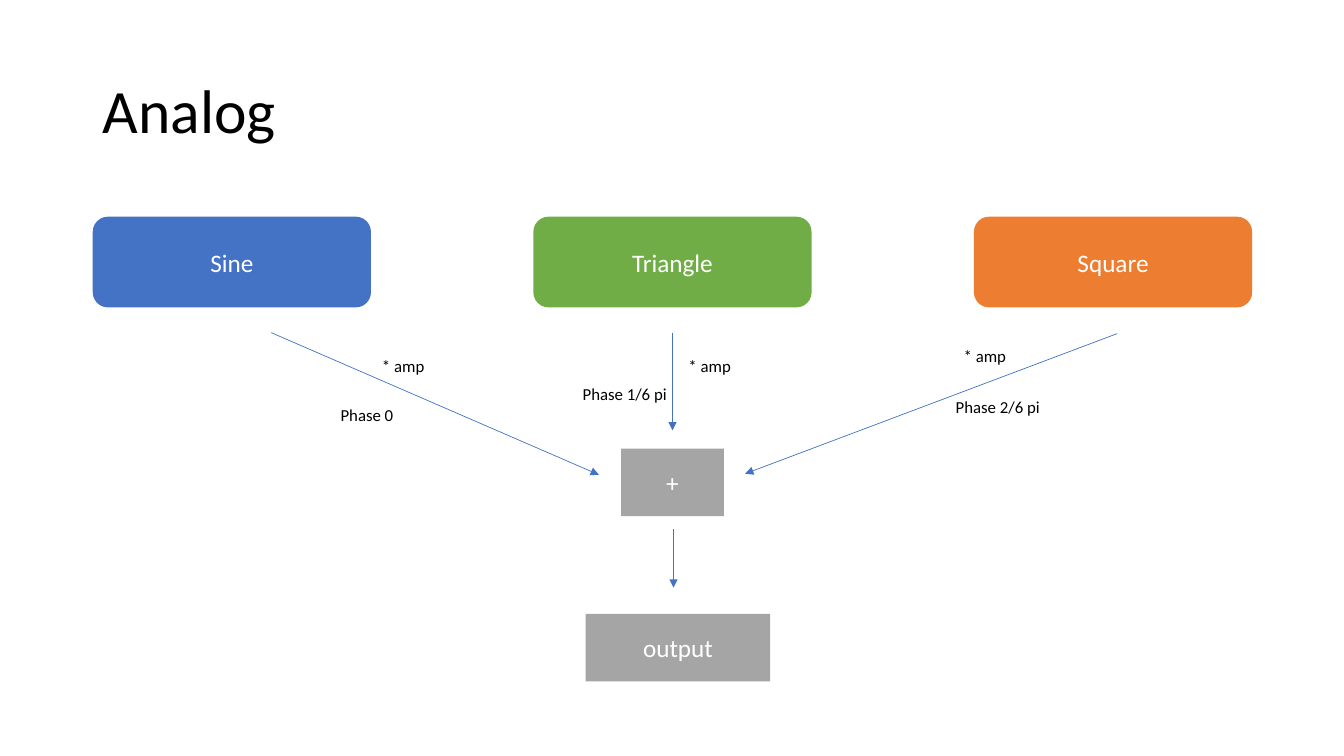
from lxml.etree import SubElement
from pptx import Presentation
from pptx.dml.color import RGBColor
from pptx.enum.shapes import MSO_CONNECTOR, MSO_SHAPE
from pptx.enum.text import MSO_ANCHOR, MSO_AUTO_SIZE, PP_ALIGN
from pptx.oxml.ns import qn
from pptx.util import Inches, Pt

BLUE, GREEN, ORANGE, GRAY = "4472C4", "70AD47", "ED7D31", "A5A5A5"
BLACK, WHITE = "000000", "FFFFFF"


def color(hex_value):
    return RGBColor.from_string(hex_value)


def assign(target, values):
    for name, value in values.items():
        setattr(target, name, value)


class Diagram:
    font = "Calibri"
    centered_frame = {"word_wrap": True, "vertical_anchor": MSO_ANCHOR.MIDDLE}
    label_frame = {"word_wrap": False, "auto_size": MSO_AUTO_SIZE.SHAPE_TO_FIT_TEXT}

    def __init__(self, slide):
        self.shapes = slide.shapes

    def set_text(self, frame, text, size, ink, frame_format, paragraph_format):
        assign(frame, frame_format)
        paragraph = frame.paragraphs[0]
        assign(paragraph, paragraph_format)
        run = paragraph.add_run()
        run.text = text
        assign(run.font, {"name": self.font, "size": Pt(size)})
        run.font.color.rgb = color(ink)

    def title(self, text, *bounds):
        heading = self.shapes.add_textbox(*map(Inches, bounds))
        self.set_text(heading.text_frame, text, 44, BLACK, self.centered_frame,
                      {"line_spacing": 0.9})

    def label(self, text, *bounds):
        caption = self.shapes.add_textbox(*map(Inches, bounds))
        self.set_text(caption.text_frame, text, 12, BLACK, self.label_frame, {})

    def block(self, text, fill, preset, *bounds):
        stage = self.shapes.add_shape(preset, *map(Inches, bounds))
        stage.shadow.inherit = False
        stage.fill.solid()
        stage.fill.fore_color.rgb = color(fill)
        stage.line.fill.background()
        self.set_text(stage.text_frame, text, 18, WHITE, self.centered_frame,
                      {"alignment": PP_ALIGN.CENTER})

    def arrow(self, *ends):
        signal = self.shapes.add_connector(MSO_CONNECTOR.STRAIGHT, *map(Inches, ends))
        signal.line.color.rgb = color(BLUE)
        signal.line.width = Pt(0.5)
        properties = signal._element.spPr
        SubElement(properties.find(qn("a:ln")), qn("a:tailEnd"), type="triangle")
        SubElement(properties, qn("a:effectLst"))


def main():
    presentation = Presentation()
    assign(presentation, {"slide_width": Inches(13.33), "slide_height": Inches(7.5)})
    diagram = Diagram(presentation.slides.add_slide(presentation.slide_layouts[6]))

    diagram.title("Analog", 0.92, 0.4, 11.5, 1.45)

    waves = [("Sine", BLUE), ("Triangle", GREEN), ("Square", ORANGE)]
    for column, (wave, fill) in enumerate(waves):
        diagram.block(wave, fill, MSO_SHAPE.ROUNDED_RECTANGLE,
                      0.92 + 4.37 * column, 2.15, 2.76, 0.9)

    diagram.block("+", GRAY, MSO_SHAPE.RECTANGLE, 6.16, 4.45, 1.02, 0.67)
    diagram.block("output", GRAY, MSO_SHAPE.RECTANGLE, 5.81, 6.09, 1.83, 0.67)

    for ends in [
        (11.08, 3.31, 7.39, 4.7),
        (2.69, 3.3, 5.94, 4.71),
        (6.67, 3.3, 6.67, 4.27),
        (6.68, 5.25, 6.68, 5.83),
    ]:
        diagram.arrow(*ends)

    for left, top in [(3.69, 3.48), (6.73, 3.48), (9.46, 3.38)]:
        diagram.label("* amp", left, top, 0.63, 0.3)

    for phase, left, top, width in [
        ("0", 3.28, 3.97, 0.73),
        ("1/6 pi", 5.68, 3.76, 1.05),
        ("2/6 pi", 9.38, 3.89, 1.05),
    ]:
        diagram.label(f"Phase {phase}", left, top, width, 0.3)

    presentation.save("out.pptx")


if __name__ == "__main__":
    main()
